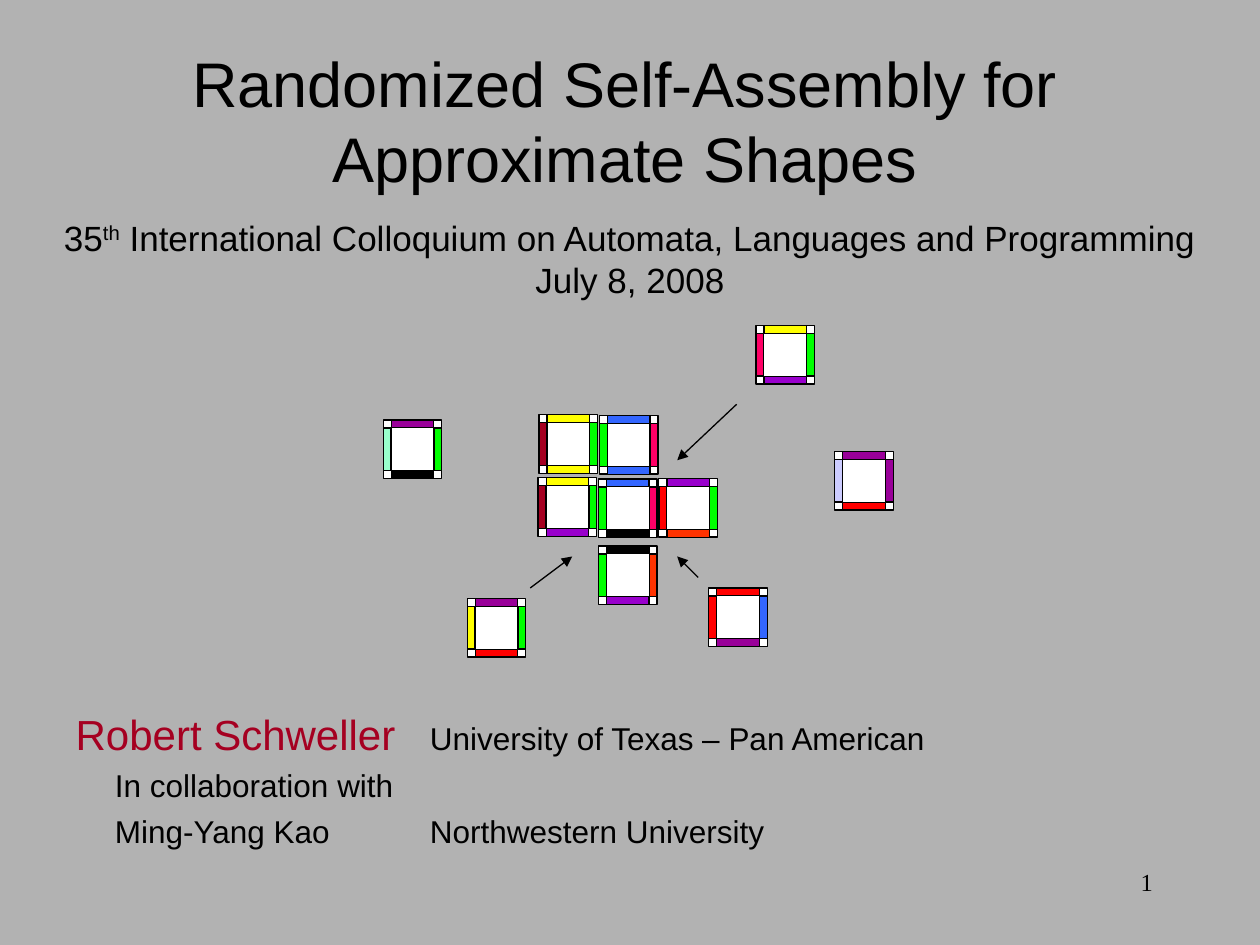
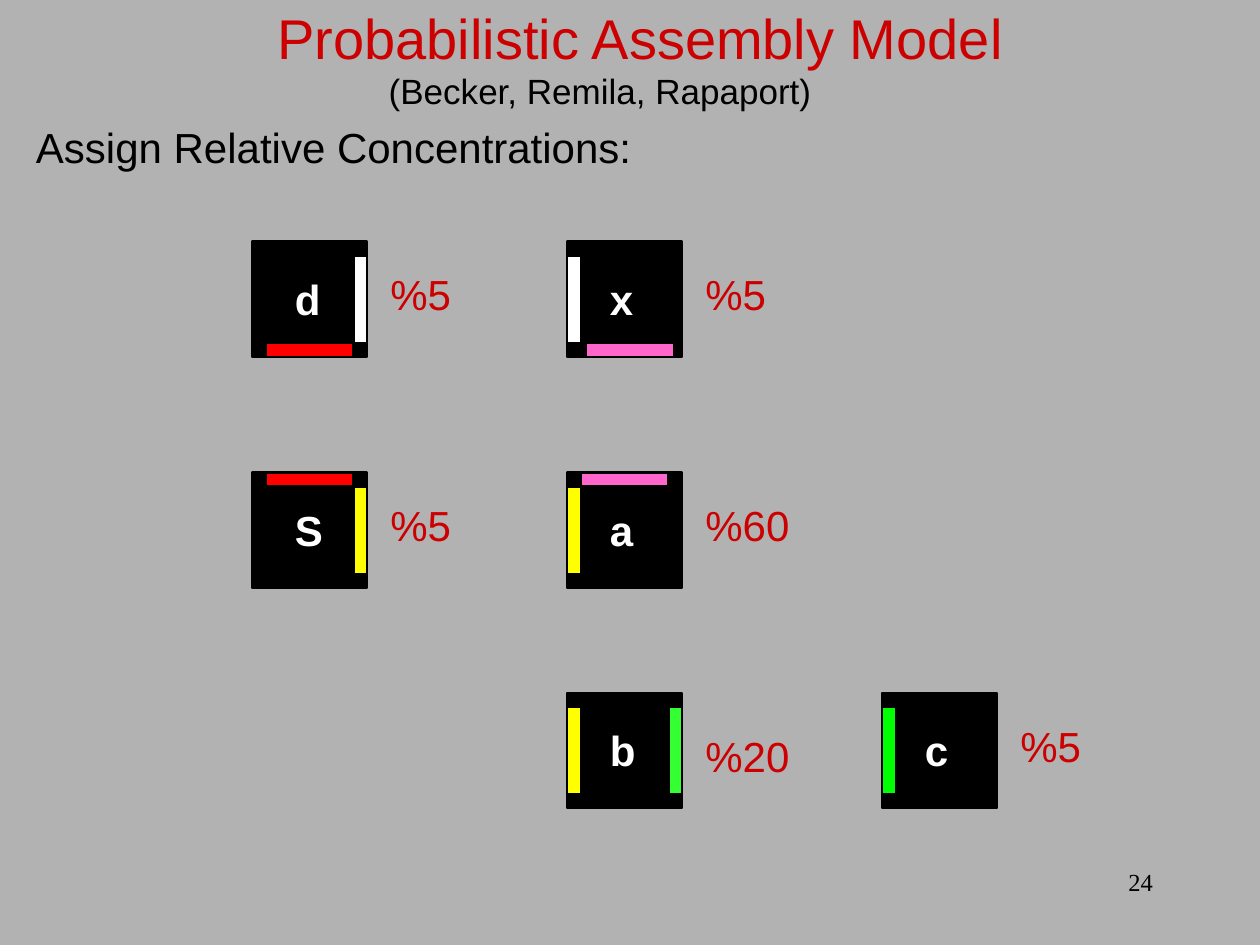
from lxml.etree import SubElement
from pptx import Presentation
from pptx.dml.color import RGBColor
from pptx.enum.shapes import MSO_CONNECTOR, MSO_SHAPE
from pptx.enum.text import MSO_ANCHOR, MSO_AUTO_SIZE, PP_ALIGN
from pptx.oxml.ns import qn
from pptx.util import Pt

# Shared look
BACKGROUND, BLACK, WHITE = "B2B2B2", "000000", "FFFFFF"
RED, DARK_RED = "CC0000", "A50021"
YELLOW, GREEN, BLUE, PINK = "FFFF00", "00FF00", "3366FF", "FF0066"
VIOLET, PURPLE, ORANGE, PURE_RED = "9900CC", "990099", "FF3300", "FF0000"
ORCHID = "FF66CC"
NUMBER_BOX = (516, 492, 150, 36)

# Slide 1 content
TALK = "Randomized Self-Assembly for Approximate Shapes"
VENUE = [
    [("35", {}), ("th", {"superscript": True}),
     (" International Colloquium on Automata, Languages and Programming", {})],
    "July 8, 2008",
]
AUTHORS = [
    [("Robert Schweller", {"size": 24, "color": DARK_RED}),
     (" \tUniversity of Texas – Pan American", {})],
    "\tIn collaboration with",
    "\tMing-Yang Kao \t\tNorthwestern University",
]
# x, y, then the glue colours: left, top, right, bottom
GLUE_TILES = [
    (405, 336, PURE_RED, PURE_RED, BLUE, PURPLE),
    (432, 186, PINK, YELLOW, GREEN, VIOLET),
    (342.5, 237.5, GREEN, BLUE, PINK, BLUE),
    (342, 312, GREEN, BLACK, ORANGE, VIOLET),
    (376.5, 273.5, PURE_RED, VIOLET, GREEN, ORANGE),
    (307.5, 273, DARK_RED, YELLOW, GREEN, VIOLET),
    (342, 273.7, GREEN, BLUE, PINK, BLACK),
    (267, 342, YELLOW, PURPLE, GREEN, PURE_RED),
    (308, 237, DARK_RED, YELLOW, GREEN, YELLOW),
    (219, 240, "99FFCC", PURPLE, GREEN, BLACK),
    (477, 258, "CCCCFF", PURPLE, PURPLE, PURE_RED),
]
ARROWS = [(421, 231, 387, 263), (303, 336, 327, 318), (399, 330, 387, 318)]

# Slide 2 content
MODEL = "Probabilistic Assembly Model"
CITATION = "(Becker, Remila, Rapaport)"
PROMPT = "Assign Relative Concentrations:"
COLUMN_X, ROW_Y = [144, 324, 504], [138, 270, 396]
# letter, column, row, share, drop of the share label, glues by side
LETTER_TILES = [
    ("d", 0, 0, "%5", 12, {"right": WHITE, "bottom": PURE_RED}),
    ("x", 1, 0, "%5", 12, {"left": WHITE, "bottom": ORCHID}),
    ("S", 0, 1, "%5", 12, {"top": PURE_RED, "right": YELLOW}),
    ("a", 1, 1, "%60", 12, {"left": YELLOW, "top": ORCHID}),
    ("b", 1, 2, "%20", 18, {"left": YELLOW, "right": "33FF33"}),
    ("c", 2, 2, "%5", 12, {"left": GREEN}),
]
GLUE_SHIFT = {("x", "bottom"): 3}


def rgb(value):
    return RGBColor.from_string(value)


def pts(*values):
    return [Pt(v) for v in values]


def write(sp, paragraphs, size=24, color=BLACK, bold=False, font="Arial",
          align=PP_ALIGN.LEFT, anchor=MSO_ANCHOR.TOP, margins=(7.2, 3.6),
          space_before=0, hanging=None):
    """Fill a shape with paragraphs; each is a string or a list of (text, format)."""
    tf = sp.text_frame
    tf.word_wrap, tf.auto_size, tf.vertical_anchor = True, MSO_AUTO_SIZE.NONE, anchor
    tf.margin_left = tf.margin_right = Pt(margins[0])
    tf.margin_top = tf.margin_bottom = Pt(margins[1])
    for i, runs in enumerate(paragraphs):
        p = tf.add_paragraph() if i else tf.paragraphs[0]
        p.alignment = align
        p.space_before = Pt(space_before if i else 0)
        if hanging:
            left, indent = pts(*hanging)
            pPr = p._p.get_or_add_pPr()
            pPr.set("marL", str(left))
            pPr.set("indent", str(indent))
            SubElement(pPr, qn("a:buNone"))
            tabs = SubElement(pPr, qn("a:tabLst"))
            for inch in range(8):
                SubElement(tabs, qn("a:tab"), pos=str(Pt(72 * inch)), algn="l")
        for text, fmt in [(runs, {})] if isinstance(runs, str) else runs:
            r = p.add_run()
            r.text = text
            r.font.name, r.font.bold = font, bold
            r.font.size = Pt(fmt.get("size", size))
            r.font.color.rgb = rgb(fmt.get("color", color))
            if fmt.get("superscript"):
                r._r.get_or_add_rPr().set("baseline", "30000")


def add_text(shapes, box, paragraphs, **fmt):
    write(shapes.add_textbox(*pts(*box)), paragraphs, **fmt)


def fill_placeholder(sp, box, paragraphs, **fmt):
    sp.left, sp.top, sp.width, sp.height = pts(*box)
    write(sp, paragraphs, **fmt)


def add_rect(shapes, box, fill, line_width):
    sp = shapes.add_shape(MSO_SHAPE.RECTANGLE, *pts(*box))
    sp.shadow.inherit = False
    sp.fill.solid()
    sp.fill.fore_color.rgb = rgb(fill)
    sp.line.color.rgb = rgb(BLACK)
    sp.line.width = Pt(line_width)


def add_tile(slide, x, y, size, fill, glues, thick, inset, line_width, shifts=None):
    """Draw a square with coloured glue bars flush with its sides."""
    shapes = slide.shapes.add_group_shape().shapes
    add_rect(shapes, (x, y, size, size), fill, line_width)
    length, far = size - 2 * inset, size - thick
    for side, color in glues.items():
        along = inset + (shifts or {}).get(side, 0)
        bar = {
            "left": (x, y + along, thick, length),
            "top": (x + along, y, length, thick),
            "right": (x + far, y + along, thick, length),
            "bottom": (x + along, y + far, length, thick),
        }[side]
        add_rect(shapes, bar, color, line_width)
    return shapes


def add_arrow(slide, ends):
    line = slide.shapes.add_connector(MSO_CONNECTOR.STRAIGHT, *pts(*ends))
    line.line.color.rgb = rgb(BLACK)
    line.line.width = Pt(0.75)
    SubElement(line.line._get_or_add_ln(), qn("a:tailEnd"), type="triangle")
    SubElement(line._element.spPr, qn("a:effectLst"))


def add_slide(prs, layout, number, title, box, **fmt):
    slide = prs.slides.add_slide(prs.slide_layouts[layout])
    fill_placeholder(slide.shapes.title, box, [title], align=PP_ALIGN.CENTER,
                     anchor=MSO_ANCHOR.MIDDLE, **fmt)
    add_text(slide.shapes, NUMBER_BOX, [str(number)], size=14,
             font="Times New Roman", align=PP_ALIGN.RIGHT)
    return slide


def build_opening(prs):
    slide = add_slide(prs, 1, 1, TALK, (90, 24, 534, 89), size=36)
    for x, y, *colors in GLUE_TILES:
        glues = dict(zip(("left", "top", "right", "bottom"), colors))
        add_tile(slide, x, y, 33.5, WHITE, glues, 4.5, 4.6, 0.75)
    for ends in ARROWS:
        add_arrow(slide, ends)
    add_text(slide.shapes, (0, 120, 720, 56), VENUE, size=20, align=PP_ALIGN.CENTER)
    fill_placeholder(slide.placeholders[1], (0, 401, 720, 139), AUTHORS, size=18,
                     space_before=4.5, hanging=(58.5, -22.5))


def build_model(prs):
    slide = add_slide(prs, 5, 24, MODEL, (60, 0, 612, 42), size=32, color=RED)
    add_text(slide.shapes, (215, 36, 270, 32), [CITATION], size=20)
    add_text(slide.shapes, (13.5, 66, 374, 36), [PROMPT])
    # Letter tiles with their shares
    for letter, column, row, share, drop, glues in LETTER_TILES:
        x, y = COLUMN_X[column], ROW_Y[row]
        shifts = {side: GLUE_SHIFT.get((letter, side), 0) for side in glues}
        shapes = add_tile(slide, x, y, 66, BLACK, glues, 8, 8, 1.25, shifts)
        add_text(shapes, (x + 24.5, y + 18, 24, 29), [letter], color=WHITE,
                 bold=True, margins=(0, 0))
        add_text(slide.shapes, (x + 72, y + drop, 72, 36), [share], color=RED)


def main():
    prs = Presentation()
    prs.slide_width, prs.slide_height = pts(720, 540)
    fill = prs.slide_master.background.fill
    fill.solid()
    fill.fore_color.rgb = rgb(BACKGROUND)
    build_opening(prs)
    build_model(prs)
    prs.save("out.pptx")


if __name__ == "__main__":
    main()
